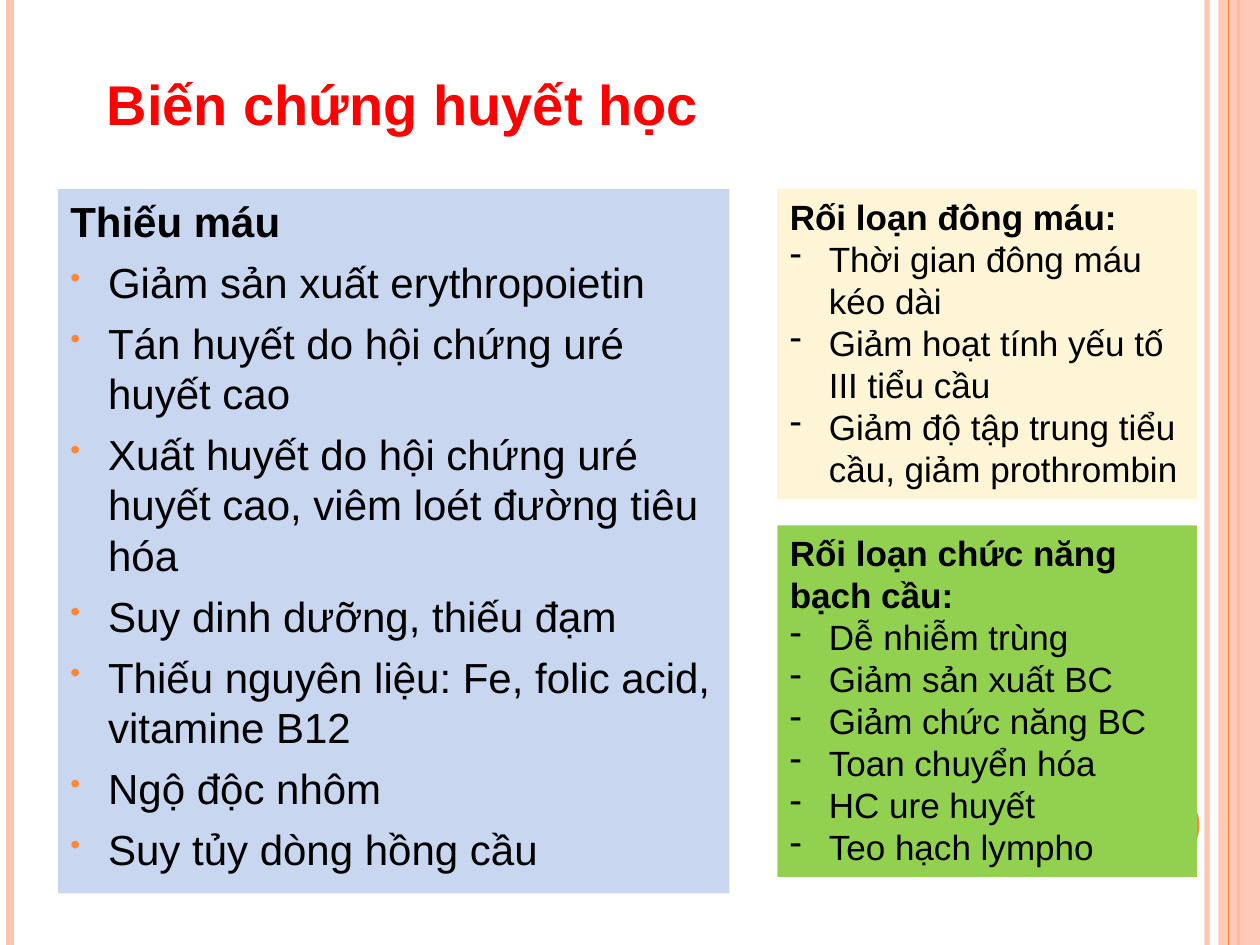
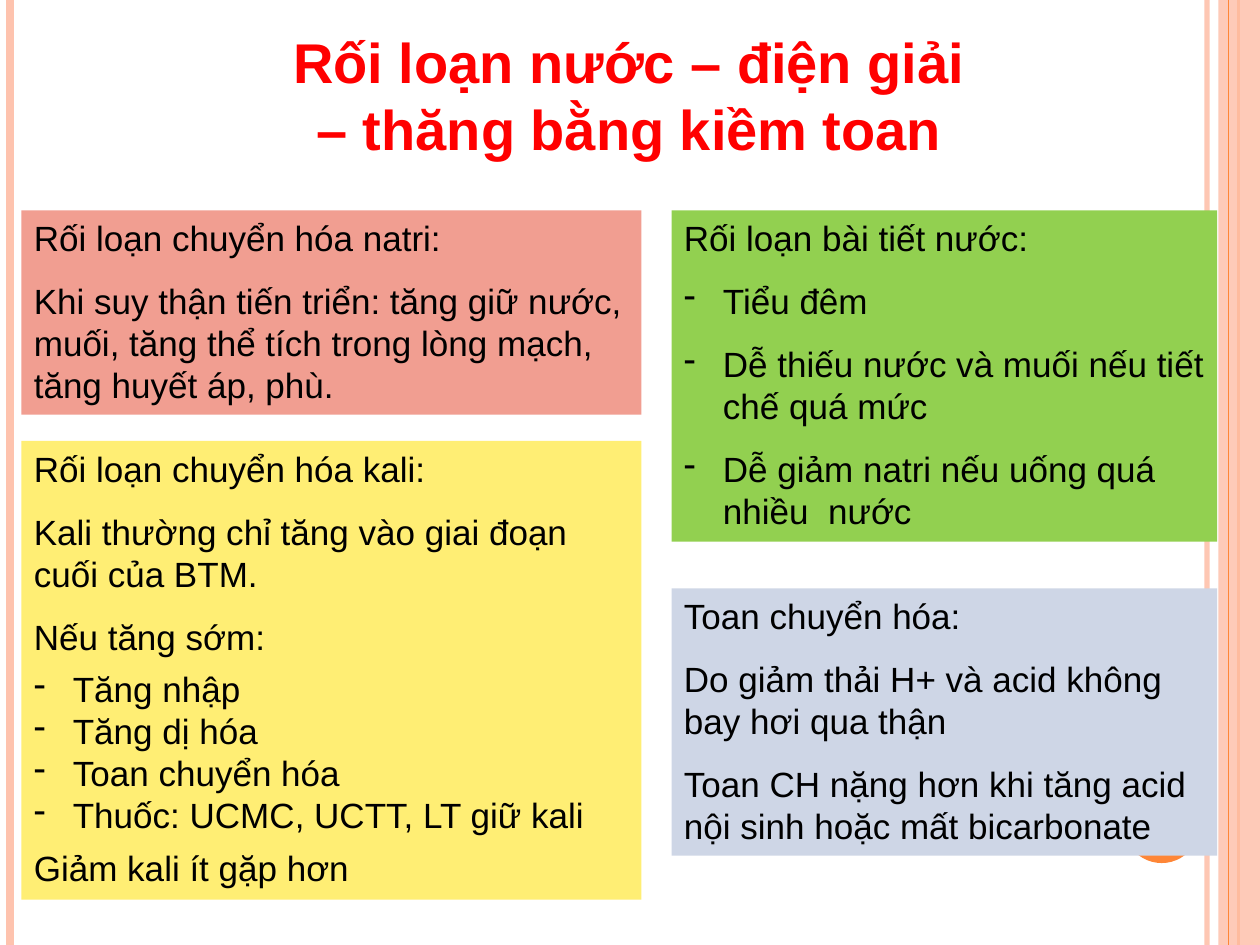
from lxml.etree import SubElement
from pptx import Presentation
from pptx.dml.color import RGBColor
from pptx.enum.shapes import MSO_CONNECTOR as CONNECTOR, MSO_SHAPE as SHAPE
from pptx.enum.text import MSO_ANCHOR as ANCHOR, PP_ALIGN as ALIGN
from pptx.oxml.ns import qn
from pptx.util import Inches, Pt

WIDTH, HEIGHT = 10, 7.5
FONT = "Arial"
COLORS = {
    "title": "FF0000", "text": "000000", "peach": "FEC3AE", "orange": "FE8637",
    "blue": "C8D6F0", "cream": "FDF5D5", "green": "92D050",
    "salmon": "F19E91", "yellow": "FFEE74", "gray": "CED6E6",
}

# Style: bold, bullet, indent in inches, points before, points after
STYLES = {
    "heading": (True, None, 0, 0, 0),
    "dot": (False, "•", 0.3, 6, 0),
    "dash": (False, "-", 0.31, 0, 0),
    "text": (False, None, 0, 6, 6),
    "airy dash": (False, "-", 0.31, 6, 6),
}

# Title: text, left, top, width, height, alignment
# Box: colour, left, top, width, height, text size, [(style, lines), ...]
SLIDES = [
    {
        "title": ("Biến chứng huyết học", 0.75, 0.5, 6.5, 0.64, ALIGN.LEFT),
        "boxes": [
            ("blue", 0.46, 1.5, 5.33, 5.59, 24, [
                ("heading", ["Thiếu máu"]),
                ("dot", [
                    "Giảm sản xuất erythropoietin",
                    "Tán huyết do hội chứng uré huyết cao",
                    "Xuất huyết do hội chứng uré huyết cao, viêm loét đường tiêu hóa",
                    "Suy dinh dưỡng, thiếu đạm",
                    "Thiếu nguyên liệu: Fe, folic acid, vitamine B12",
                    "Ngộ độc nhôm",
                    "Suy tủy dòng hồng cầu",
                ]),
            ]),
            ("cream", 6.17, 1.5, 3.33, 2.46, 20, [
                ("heading", ["Rối loạn đông máu:"]),
                ("dash", [
                    "Thời gian đông máu kéo dài",
                    "Giảm hoạt tính yếu tố III tiểu cầu",
                    "Giảm độ tập trung tiểu cầu, giảm prothrombin",
                ]),
            ]),
            ("green", 6.17, 4.17, 3.33, 2.79, 20, [
                ("heading", ["Rối loạn chức năng bạch cầu:"]),
                ("dash", [
                    "Dễ nhiễm trùng",
                    "Giảm sản xuất BC",
                    "Giảm chức năng BC",
                    "Toan chuyển hóa",
                    "HC ure huyết",
                    "Teo hạch lympho",
                ]),
            ]),
        ],
    },
    {
        "title": ("Rối loạn nước – điện giải – thăng bằng kiềm toan",
                  2.08, 0.17, 5.83, 1.18, ALIGN.CENTER),
        "boxes": [
            ("salmon", 0.17, 1.67, 4.92, 1.62, 20, [
                ("text", [
                    "Rối loạn chuyển hóa natri:",
                    "Khi suy thận tiến triển: tăng giữ nước, muối, tăng thể tích "
                    "trong lòng mạch, tăng huyết áp, phù.",
                ]),
            ]),
            ("green", 5.33, 1.67, 4.33, 2.63, 20, [
                ("text", ["Rối loạn bài tiết nước:"]),
                ("airy dash", [
                    "Tiểu đêm",
                    "Dễ thiếu nước và muối nếu tiết chế quá mức",
                    "Dễ giảm natri nếu uống quá nhiều  nước",
                ]),
            ]),
            ("yellow", 0.17, 3.5, 4.92, 3.64, 20, [
                ("text", [
                    "Rối loạn chuyển hóa kali:",
                    "Kali thường chỉ tăng vào giai đoạn cuối của BTM.",
                    "Nếu tăng sớm:",
                ]),
                ("dash", [
                    "Tăng nhập",
                    "Tăng dị hóa",
                    "Toan chuyển hóa",
                    "Thuốc: UCMC, UCTT, LT giữ kali",
                ]),
                ("text", ["Giảm kali ít gặp hơn"]),
            ]),
            ("gray", 5.33, 4.67, 4.33, 2.12, 20, [
                ("text", [
                    "Toan chuyển hóa:",
                    "Do giảm thải H+ và acid không bay hơi qua thận",
                    "Toan CH nặng hơn khi tăng acid nội sinh hoặc mất bicarbonate",
                ]),
            ]),
        ],
    },
]


def color(name):
    return RGBColor.from_string(COLORS[name])


def set_alpha(color_format_parent, percent):
    """Make the solid colour below an XML element partly transparent."""
    for element in color_format_parent.iter(qn("a:srgbClr")):
        SubElement(element, qn("a:alpha"), val=str(percent * 1000))


def add_filled_shape(slide, kind, fill, left, top, width, height):
    shape = slide.shapes.add_shape(
        kind, Inches(left), Inches(top), Inches(width), Inches(height))
    shape.shadow.inherit = False
    shape.fill.solid()
    shape.fill.fore_color.rgb = color(fill)
    shape.line.fill.background()
    return shape


def add_rule(slide, x, line_color, width, alpha=100):
    """Draw a vertical line over the full slide height."""
    rule = slide.shapes.add_connector(
        CONNECTOR.STRAIGHT, Inches(x), 0, Inches(x), Inches(HEIGHT))
    rule.line.color.rgb = color(line_color)
    rule.line.width = Pt(width)
    properties = rule.element.spPr
    if alpha < 100:
        set_alpha(properties, alpha)
    SubElement(properties, qn("a:effectLst"))


def add_frame(slide):
    """Draw the side bands and the disc that every slide has."""
    add_rule(slide, 9.58, "peach", 3, alpha=93)
    add_rule(slide, 0.08, "peach", 4.5)
    add_rule(slide, 9.83, "orange", 1.5)
    band = add_filled_shape(slide, SHAPE.RECTANGLE, "peach", 9.67, 0, 0.33, HEIGHT)
    set_alpha(band.element.spPr, 87)
    add_rule(slide, 9.75, "orange", 0.75)
    add_filled_shape(slide, SHAPE.OVAL, "orange", 8.92, 6.25, 0.6, 0.6)


def set_font(paragraph, size, bold, font_color):
    paragraph.font.name = FONT
    paragraph.font.size = Pt(size)
    paragraph.font.bold = bold
    paragraph.font.color.rgb = color(font_color)


def add_title(slide, text, left, top, width, height, alignment):
    box = slide.shapes.add_textbox(
        Inches(left), Inches(top), Inches(width), Inches(height))
    box.text_frame.word_wrap = True
    paragraph = box.text_frame.paragraphs[0]
    paragraph.text = text
    paragraph.alignment = alignment
    set_font(paragraph, 32, True, "title")


def add_bullet(paragraph, bullet, indent):
    properties = paragraph._p.get_or_add_pPr()
    properties.set("marL", str(Inches(indent)))
    properties.set("indent", str(-Inches(indent)))
    if bullet == "•":
        bullet_color = SubElement(properties, qn("a:buClr"))
        SubElement(bullet_color, qn("a:srgbClr"), val=COLORS["orange"])
        SubElement(properties, qn("a:buSzPct"), val="70000")
    SubElement(properties, qn("a:buChar"), char=bullet)


def add_box(slide, fill, left, top, width, height, size, groups):
    box = add_filled_shape(slide, SHAPE.RECTANGLE, fill, left, top, width, height)
    frame = box.text_frame
    frame.word_wrap = True
    frame.vertical_anchor = ANCHOR.TOP
    lines = [(style, text) for style, texts in groups for text in texts]
    for index, (style, text) in enumerate(lines):
        bold, bullet, indent, before, after = STYLES[style]
        paragraph = frame.add_paragraph() if index else frame.paragraphs[0]
        paragraph.text = text
        paragraph.alignment = ALIGN.LEFT
        if bullet:
            add_bullet(paragraph, bullet, indent)
        paragraph.space_before = Pt(before if index else 0)
        paragraph.space_after = Pt(after)
        set_font(paragraph, size, bold, "text")


def main():
    presentation = Presentation()
    presentation.slide_width = Inches(WIDTH)
    presentation.slide_height = Inches(HEIGHT)
    for content in SLIDES:
        slide = presentation.slides.add_slide(presentation.slide_layouts[6])
        add_frame(slide)
        add_title(slide, *content["title"])
        for box in content["boxes"]:
            add_box(slide, *box)
    presentation.save("out.pptx")


if __name__ == "__main__":
    main()
